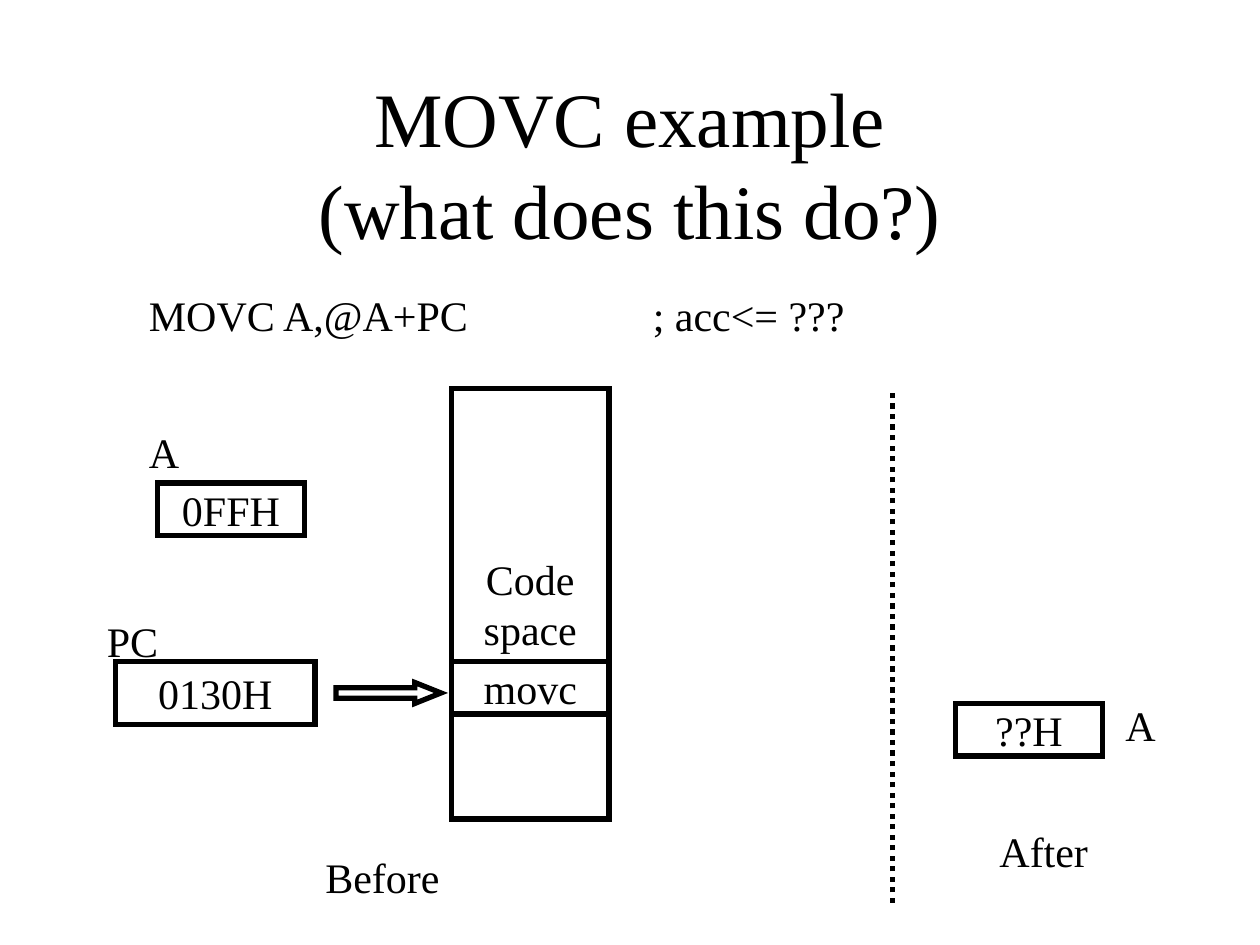
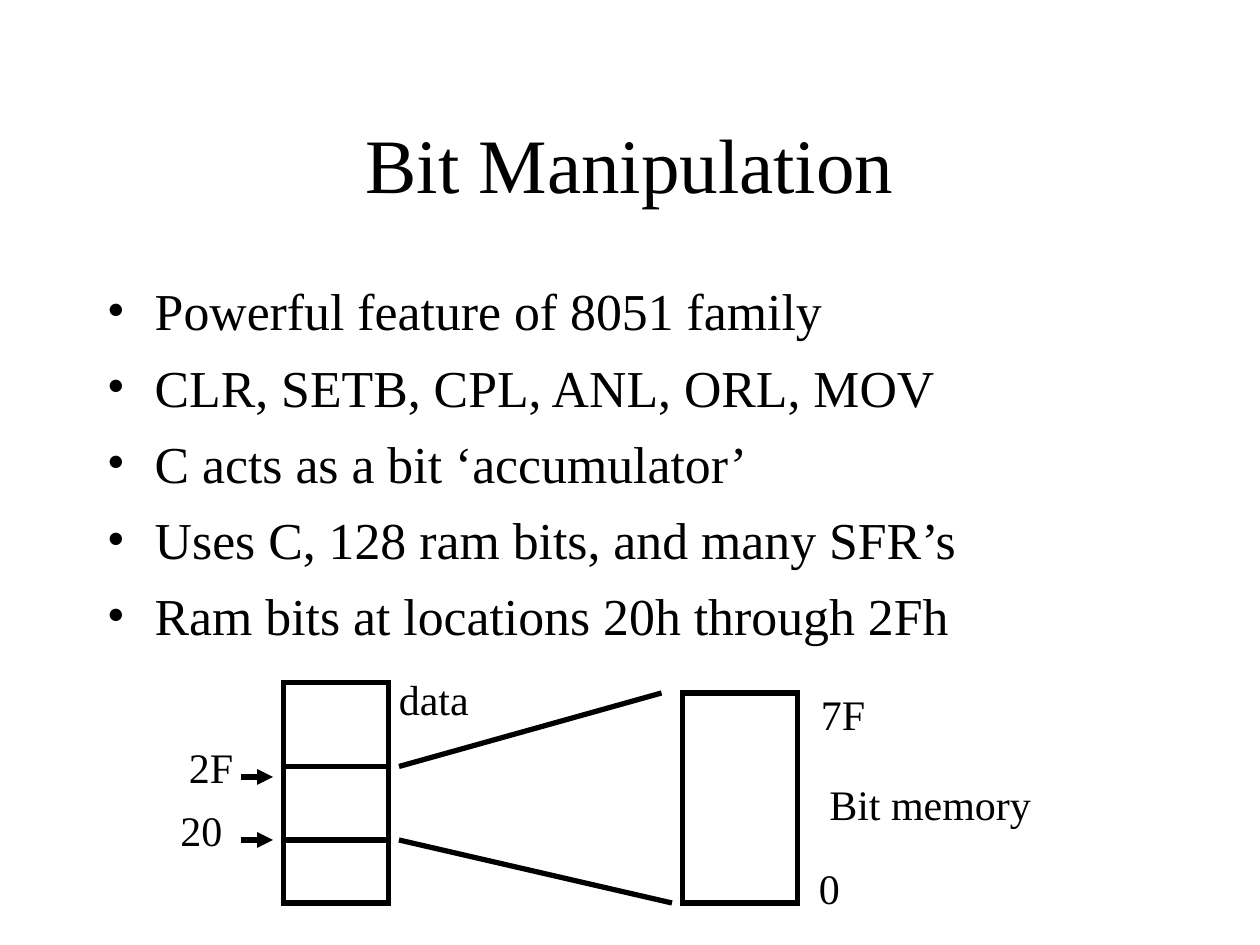
import dataclasses

import lxml.etree
import pptx
import pptx.dml.color
import pptx.enum.dml
import pptx.enum.shapes
import pptx.enum.text
import pptx.oxml.ns
import pptx.util

COLUMNS, ROWS = 120, 90
SHAPES = pptx.enum.shapes.MSO_SHAPE
ALIGN = pptx.enum.text.PP_ALIGN
MIDDLE = pptx.enum.text.MSO_ANCHOR.MIDDLE


@dataclasses.dataclass(frozen=True)
class Theme:
    font: str = "Times New Roman"
    ink: pptx.dml.color.RGBColor = pptx.dml.color.RGBColor(0, 0, 0)
    paper: pptx.dml.color.RGBColor = pptx.dml.color.RGBColor(255, 255, 255)
    title_size: float = 44
    bullet_size: float = 29.6
    label_size: float = 24
    stroke: float = 3
    bullet_gap: float = 8
    bullet_indent: float = 0.38


def add_xml(parent, tag, **attributes):
    return lxml.etree.SubElement(parent, pptx.oxml.ns.qn(tag), **attributes)


class Deck:
    """Draws on the current slide; places and sizes are grid columns and rows."""

    def __init__(self, theme):
        self.theme = theme
        self.presentation = pptx.Presentation()
        self.presentation.slide_width = pptx.util.Inches(10)
        self.presentation.slide_height = pptx.util.Inches(7.5)
        self.slide = None

    def x(self, columns):
        return round(self.presentation.slide_width * columns / COLUMNS)

    def y(self, rows):
        return round(self.presentation.slide_height * rows / ROWS)

    def area(self, column, row, width, height):
        return self.x(column), self.y(row), self.x(width), self.y(height)

    def add_run(self, paragraph, text, size):
        run = paragraph.add_run()
        run.text = text
        run.font.name = self.theme.font
        run.font.size = pptx.util.Pt(size)
        run.font.color.rgb = self.theme.ink

    def paragraphs(self, frame, count):
        return [frame.paragraphs[0]] + [frame.add_paragraph() for _ in range(count - 1)]

    def title(self, *lines):
        """Starts a new slide headed by the given lines."""
        self.slide = self.presentation.slides.add_slide(self.presentation.slide_layouts[6])
        frame = self.slide.shapes.add_textbox(*self.area(9, 8, 102, 15)).text_frame
        frame.word_wrap = True
        frame.vertical_anchor = MIDDLE
        heading = frame.paragraphs[0]
        heading.alignment = ALIGN.CENTER
        for number, line in enumerate(lines):
            if number:
                heading.add_line_break()
            self.add_run(heading, line, self.theme.title_size)

    def bullets(self, column, row, width, height, points):
        frame = self.slide.shapes.add_textbox(*self.area(column, row, width, height)).text_frame
        frame.word_wrap = True
        indent = pptx.util.Inches(self.theme.bullet_indent)
        for number, (paragraph, point) in enumerate(
                zip(self.paragraphs(frame, len(points)), points)):
            properties = paragraph._p.get_or_add_pPr()
            properties.set("marL", str(indent))
            properties.set("indent", str(-indent))
            add_xml(properties, "a:buFont", typeface=self.theme.font)
            add_xml(properties, "a:buChar", char="•")
            if number:
                paragraph.space_before = pptx.util.Pt(self.theme.bullet_gap)
            self.add_run(paragraph, point, self.theme.bullet_size)

    def label(self, text, column, row, width, height=6):
        """Adds a one-line label; the width must hold the text and its insets."""
        frame = self.slide.shapes.add_textbox(*self.area(column, row, width, height)).text_frame
        frame.word_wrap = False
        frame.auto_size = pptx.enum.text.MSO_AUTO_SIZE.SHAPE_TO_FIT_TEXT
        self.add_run(frame.paragraphs[0], text, self.theme.label_size)

    def instruction(self, code, remark, column, row, width, remark_offset):
        """Sets code and its remark on one line, the remark at a tab stop."""
        frame = self.slide.shapes.add_textbox(*self.area(column, row, width, 6)).text_frame
        frame.word_wrap = True
        paragraph = frame.paragraphs[0]
        stops = add_xml(paragraph._p.get_or_add_pPr(), "a:tabLst")
        add_xml(stops, "a:tab", pos=str(self.x(remark_offset)), algn="l")
        self.add_run(paragraph, code + "\t", self.theme.label_size)
        self.add_run(paragraph, remark, self.theme.label_size)

    def box(self, column, row, width, height, *lines, kind=SHAPES.RECTANGLE):
        outline = self.slide.shapes.add_shape(kind, *self.area(column, row, width, height))
        outline.shadow.inherit = False
        outline.fill.solid()
        outline.fill.fore_color.rgb = self.theme.paper
        self.ink_line(outline.line)
        add_xml(outline.line._get_or_add_ln(), "a:miter", lim="800000")
        if lines:
            frame = outline.text_frame
            frame.word_wrap = False
            frame.vertical_anchor = MIDDLE
            for paragraph, line in zip(self.paragraphs(frame, len(lines)), lines):
                paragraph.alignment = ALIGN.CENTER
                self.add_run(paragraph, line, self.theme.label_size)
        return outline

    def block_arrow(self, column, row, width, height, head):
        arrow = self.box(column, row, width, height, kind=SHAPES.RIGHT_ARROW)
        arrow.adjustments[0] = 0.5
        arrow.adjustments[1] = head

    def ink_line(self, line):
        line.color.rgb = self.theme.ink
        line.width = pptx.util.Pt(self.theme.stroke)

    def line(self, start, end, dash=None, arrow=False):
        connector = self.slide.shapes.add_connector(
            pptx.enum.shapes.MSO_CONNECTOR.STRAIGHT,
            self.x(start[0]), self.y(start[1]), self.x(end[0]), self.y(end[1]))
        self.ink_line(connector.line)
        if dash:
            connector.line.dash_style = dash
        if arrow:
            add_xml(connector.line._get_or_add_ln(), "a:tailEnd", type="triangle")
        add_xml(connector._element.spPr, "a:effectLst")


def movc_slide(deck):
    deck.title("MOVC example", "(what does this do?)")
    deck.instruction("MOVC A,@A+PC", "; acc<= ???", 13, 27, 78, remark_offset=48)

    code_left, code_width, pc_row = 43, 15, 63
    deck.box(code_left, 37, code_width, 41, "Code", "space")
    deck.box(11, pc_row, 19, 6, "0130H")
    deck.label("PC", 9, 58, 7.5)
    deck.block_arrow(32, 65, 10, 2, head=1.25)
    deck.box(15, 46, 14, 5, "0FFH")
    deck.label("A", 13, 40, 5.5)
    deck.box(code_left, pc_row, code_width, 5, "movc")
    deck.label("Before", 29.8, 80.5, 13.5)

    deck.line((85, 86), (85, 37), dash=pptx.enum.dml.MSO_LINE.ROUND_DOT)
    deck.label("After", 94, 78, 11.25)
    deck.box(91, 67, 14, 5, "??H")
    deck.label("A", 106, 66, 5.5)


def bit_slide(deck):
    deck.title("Bit Manipulation")
    deck.bullets(9, 26, 102, 38, [
        "Powerful feature of 8051 family",
        "CLR, SETB, CPL, ANL, ORL, MOV",
        "C acts as a bit ‘accumulator’",
        "Uses C, 128 ram bits, and many SFR’s",
        "Ram bits at locations 20h through 2Fh",
    ])

    data_left, data_width, bits_top, bits_bottom = 27, 10, 73, 80
    deck.box(data_left, 65, data_width, 21)
    deck.box(data_left, bits_top, data_width, bits_bottom - bits_top)
    deck.label("data", 36.8, 63.6, 9.5)
    for address, column, row in (("2F", 16.8, 70), ("20", 16, 76)):
        deck.label(address, column, row, 7)
        deck.line((23, row + 4), (26, row + 4), arrow=True)

    deck.line((38, bits_bottom), (64, 86))
    deck.line((38, bits_top), (63, 66))
    deck.box(65, 66, 11, 20)
    deck.label("0", 76.8, 81.6, 4.75)
    deck.label("7F", 77, 65, 7)
    deck.label("Bit memory", 77.8, 73.6, 22.25)


def main():
    deck = Deck(Theme())
    movc_slide(deck)
    bit_slide(deck)
    deck.presentation.save("out.pptx")


if __name__ == "__main__":
    main()
